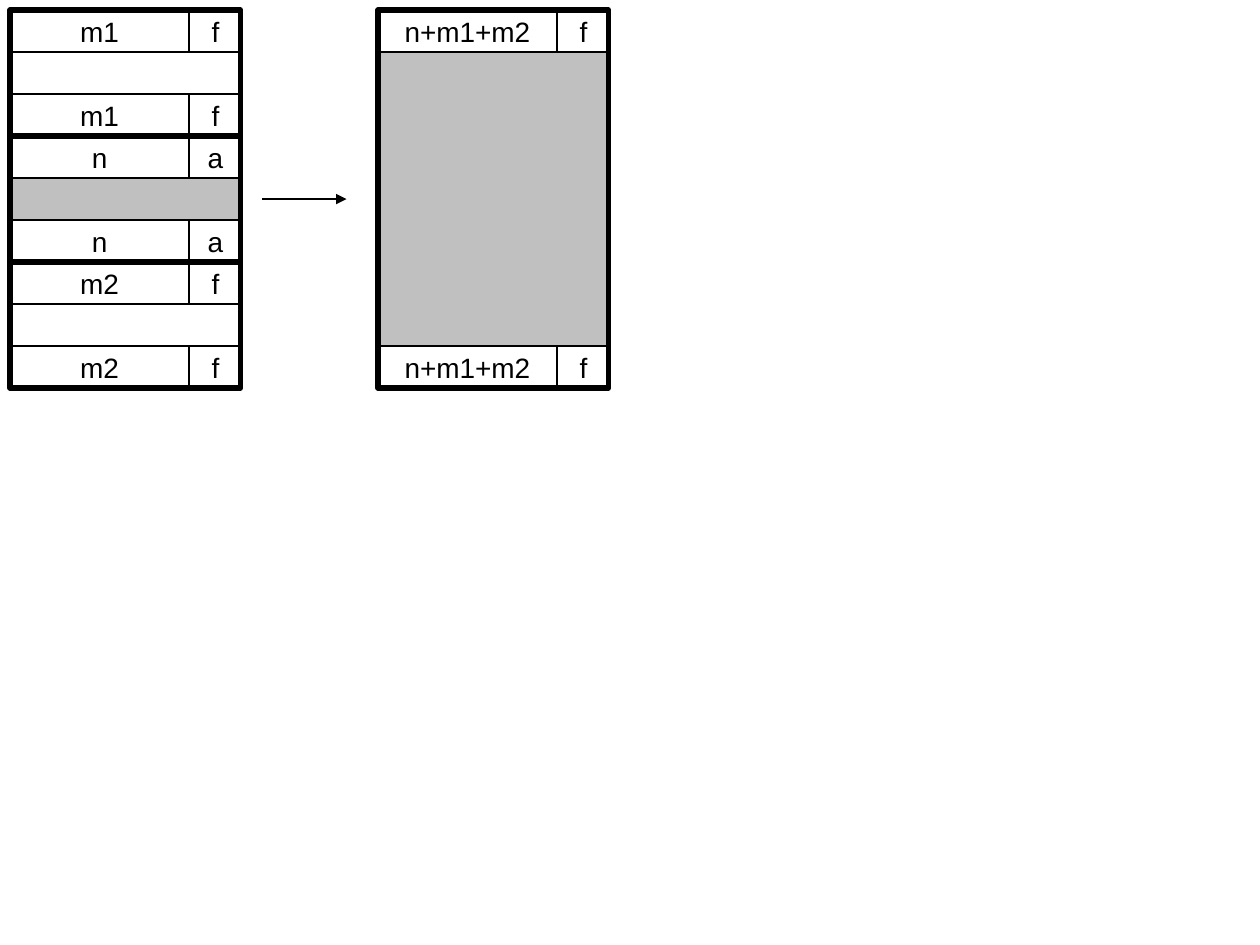
from dataclasses import dataclass

from lxml.etree import SubElement
from pptx import Presentation
from pptx.dml.color import RGBColor
from pptx.enum.shapes import MSO_CONNECTOR as Connector, MSO_SHAPE as Shape
from pptx.enum.text import MSO_ANCHOR as Anchor, PP_ALIGN as Align
from pptx.oxml.ns import qn
from pptx.util import Inches, Pt

COLORS = {"ink": "000000", "free": "FFFFFF", "used": "C0C0C0"}
TEXT_FORMAT = {"name": "Arial", "size": Pt(16), "bold": False}
TOP = 0.08
ROW = 1 / 3
SIZE_WIDTH, FLAG_WIDTH = 1.42, 0.42
BLOCK_WIDTH = 1.83


@dataclass
class Block:
    """A memory block with matching header and footer tags."""

    left: float
    first_row: int
    rows: int
    size: str
    flag: str
    payload: str


BLOCKS = [
    Block(0.08, 0, 3, "m1", "f", "free"),
    Block(0.08, 3, 3, "n", "a", "used"),
    Block(0.08, 6, 3, "m2", "f", "free"),
    Block(3, 0, 9, "n+m1+m2", "f", "used"),
]


def color(name: str) -> RGBColor:
    """Look up a named colour."""
    return RGBColor.from_string(COLORS[name])


def add_box(page, left: float, top: float, width: float, height: float,
            fill: str | None = "free", text: str = "", weight: float = 1) -> None:
    """Draw an outlined rectangle with optional fill and centred text."""
    box = page.shapes.add_shape(
        Shape.RECTANGLE, Inches(left), Inches(top), Inches(width), Inches(height))
    box.shadow.inherit = False
    box.line.color.rgb = color("ink")
    box.line.width = Pt(weight)
    if fill:
        box.fill.solid()
        box.fill.fore_color.rgb = color(fill)
    else:
        box.fill.background()
    if text:
        frame = box.text_frame
        frame.word_wrap = False
        frame.vertical_anchor = Anchor.MIDDLE
        para = frame.paragraphs[0]
        para.alignment = Align.CENTER
        span = para.add_run()
        span.text = text
        span.font.color.rgb = color("ink")
        for key, value in TEXT_FORMAT.items():
            setattr(span.font, key, value)


def add_block(page, block: Block) -> None:
    """Draw the tags, payload and heavy frame of a block."""
    top = TOP + block.first_row * ROW
    footer = top + (block.rows - 1) * ROW
    add_box(page, block.left, top + ROW, BLOCK_WIDTH, footer - top - ROW, block.payload)
    for tag_top in (top, footer):
        add_box(page, block.left, tag_top, SIZE_WIDTH, ROW, text=block.size)
        add_box(page, block.left + SIZE_WIDTH, tag_top, FLAG_WIDTH, ROW, text=block.flag)
    add_box(page, block.left, top, BLOCK_WIDTH, block.rows * ROW, fill=None, weight=3)


def add_arrow(page, start: float, end: float, height: float) -> None:
    """Draw a horizontal arrow with a triangle head."""
    arrow = page.shapes.add_connector(
        Connector.STRAIGHT, Inches(start), Inches(height), Inches(end), Inches(height))
    arrow.line.color.rgb = color("ink")
    arrow.line.width = Pt(1)
    SubElement(arrow.line._get_or_add_ln(), qn("a:tailEnd"), type="triangle")
    SubElement(arrow._element.spPr, qn("a:effectLst"))


def main() -> None:
    """Build the slide showing free blocks being coalesced."""
    deck = Presentation()
    deck.slide_width, deck.slide_height = Inches(10), Inches(7.5)
    page = deck.slides.add_slide(deck.slide_layouts[6])
    for block in BLOCKS:
        add_block(page, block)
    add_arrow(page, 2.08, 2.75, TOP + 4.5 * ROW)
    deck.save("out.pptx")


if __name__ == "__main__":
    main()
